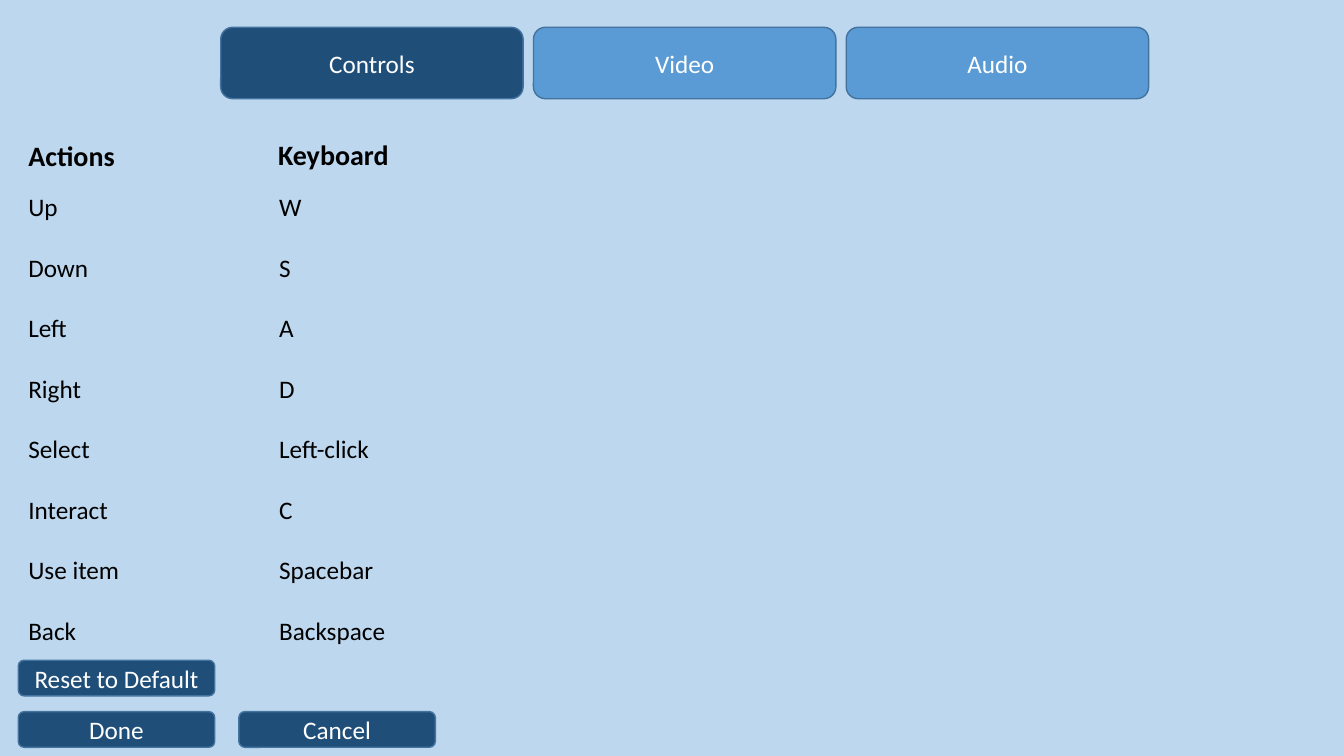
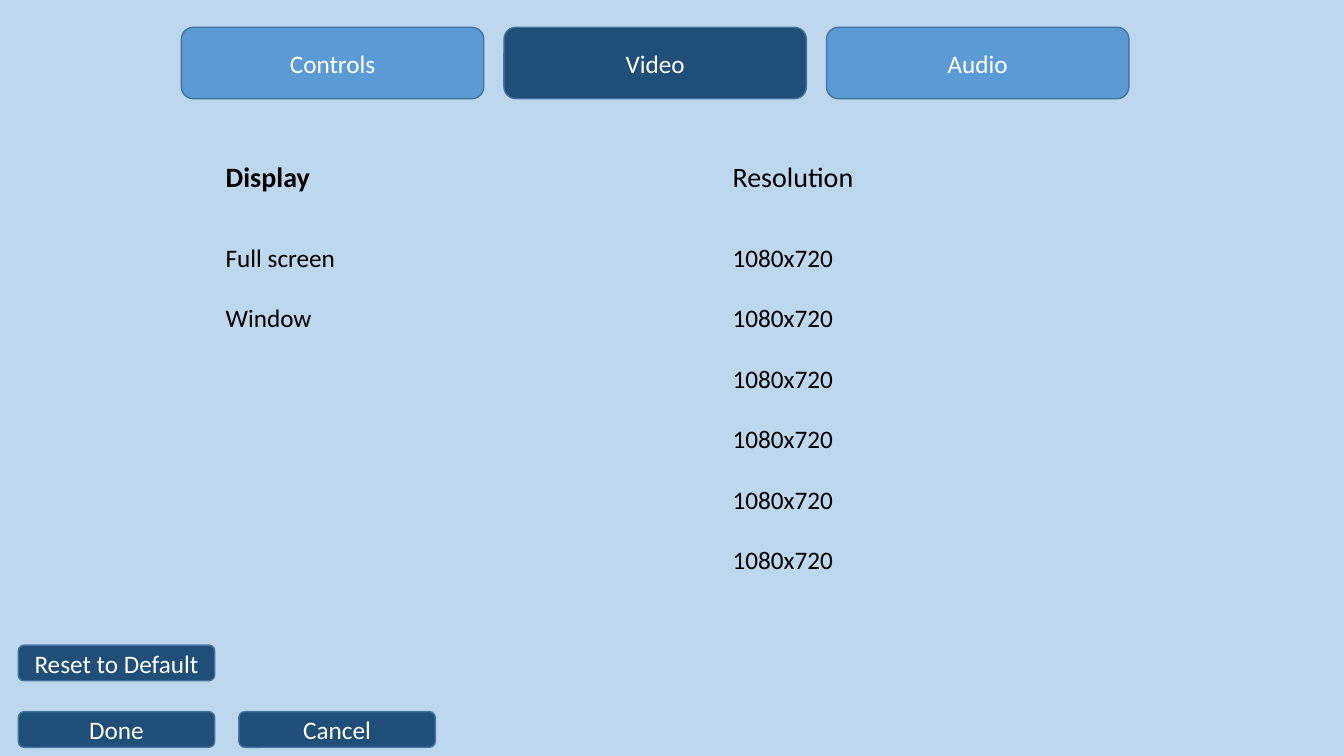
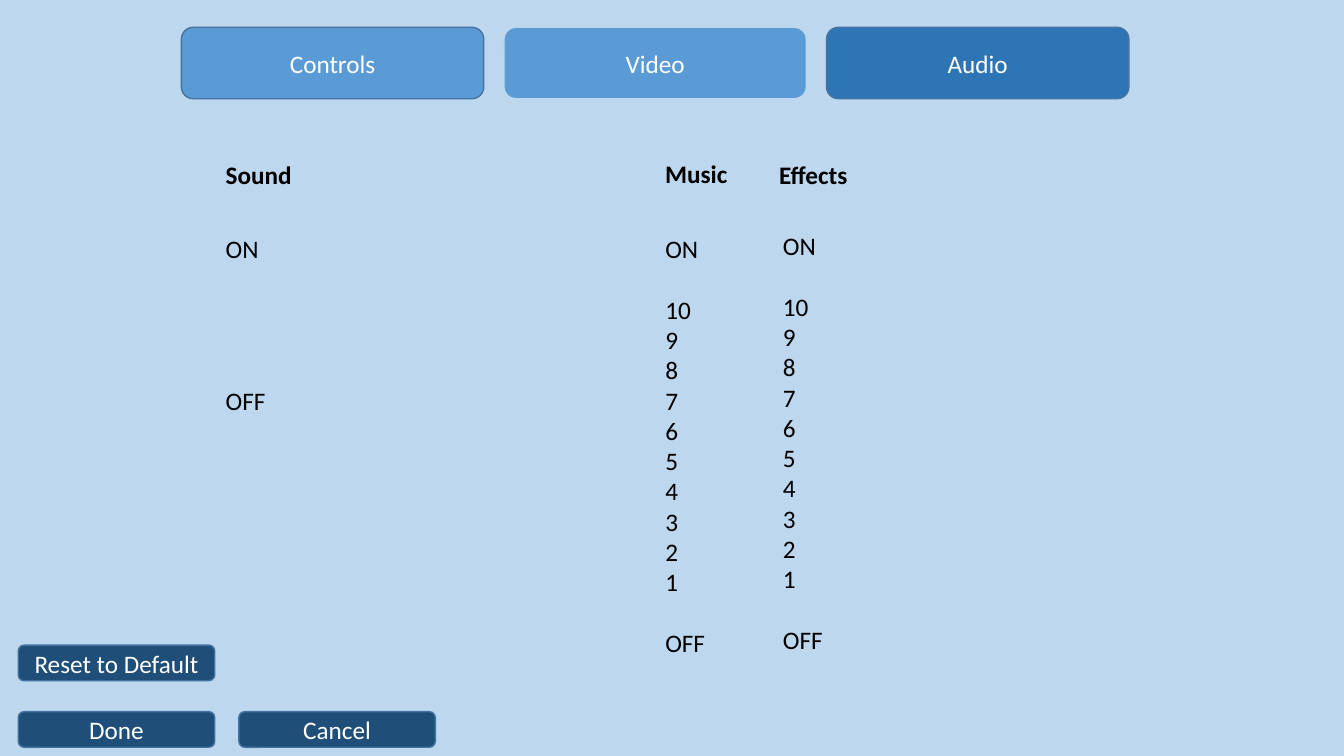
"""Build the three settings screens: controls, video and audio."""
from pptx import Presentation
from pptx.dml.color import RGBColor
from pptx.enum.shapes import MSO_SHAPE
from pptx.enum.text import MSO_ANCHOR, MSO_AUTO_SIZE, PP_ALIGN
from pptx.oxml.ns import qn
from pptx.util import Pt

ROUNDED = MSO_SHAPE.ROUNDED_RECTANGLE
TOP, MIDDLE = MSO_ANCHOR.TOP, MSO_ANCHOR.MIDDLE
LEFT, CENTER = PP_ALIGN.LEFT, PP_ALIGN.CENTER
GROW = MSO_AUTO_SIZE.SHAPE_TO_FIT_TEXT

SKY, NAVY, BLUE, DEEP, EDGE = "BDD7EE", "1F4E79", "5B9BD5", "2E75B6", "43739E"
BLACK, WHITE = "000000", "FFFFFF"
FONT = "Calibri"
LINE = 21.6
TWO_CONTENT = 3

TABS = ["Controls", "Video", "Audio"]
TAB_TOP, TAB_W, TAB_H = 19.5, 216, 51
BUTTONS = ["Done", "Cancel"]
BUTTON_LEFT, BUTTON_TOP, BUTTON_W, BUTTON_H, BUTTON_GAP = 13, 508.3, 140.4, 25.5, 17.2

LEVELS = [["ON"], [str(n) for n in range(10, 0, -1)], ["OFF"]]


def singles(*items):
    """Put each item in a group of its own."""
    return [[item] for item in items]


def heading(text, left, top, width, size=18, bold=True):
    """Describe a column heading."""
    return dict(groups=[[text]], left=left, top=top, width=width, size=size, bold=bold)


def listing(groups, left, top, width, gap=1):
    """Describe a column of grouped lines, with gap lines between groups."""
    return dict(groups=groups, left=left, top=top, width=width, gap=gap)


SCREENS = [
    dict(tab_left=157.7, tab_gap=7.4, reset_top=471.6, fills=[NAVY, BLUE, BLUE],
         edges=[EDGE] * 3,
         headings=[heading("Actions", 13, 95, 78.5, 20),
                   heading("Keyboard", 191.5, 95, 98, 20)],
         lists=[listing(singles("Up", "Down", "Left", "Right", "Select", "Interact",
                                "Use item", "Back"), 13, 133.2, 85),
                listing(singles("W", "S", "A", "D", "Left-click", "C", "Spacebar",
                                "Backspace"), 192.2, 133.2, 108.7)]),
    dict(tab_left=129.6, tab_gap=14.4, reset_top=460.8, fills=[BLUE, NAVY, BLUE],
         edges=[EDGE] * 3,
         headings=[heading("Display", 154, 110.2, 140.4, 20),
                   heading("Resolution", 516.2, 110.2, 119.5, 20, False)],
         lists=[listing(singles("Full screen", "Window"), 154, 169.2, 116.6),
                listing(singles(*["1080x720"] * 6), 516.2, 169.2, 108.7)]),
    dict(tab_left=129.6, tab_gap=14.4, reset_top=460.8, fills=[BLUE, BLUE, DEEP],
         edges=[EDGE, SKY, EDGE],
         headings=[heading("Sound", 154, 110.2, 140.4),
                   heading("Music", 468, 109.4, 119.5),
                   heading("Effects", 549.4, 110.2, 119.5)],
         lists=[listing(singles("ON", "OFF"), 154, 163.4, 116.6, 4),
                listing(LEVELS, 468, 163.4, 116.6),
                listing(LEVELS, 552.2, 161.3, 116.6)]),
]


def rgb(color):
    """Turn a hex string into a colour."""
    return RGBColor.from_string(color)


def assign(target, values):
    """Set each attribute named in values."""
    for name, value in values.items():
        setattr(target, name, value)


def write(p, text, size=18, color=BLACK, bold=False, align=LEFT, before=0):
    """Write one formatted, unbulleted line into a paragraph."""
    assign(p, dict(alignment=align, space_before=Pt(before)))
    pPr = p._p.get_or_add_pPr()
    pPr.set("marL", "0")
    pPr.set("indent", "0")
    pPr.append(pPr.makeelement(qn("a:buNone"), {}))
    r = p.add_run()
    r.text = text
    assign(r.font, dict(name=FONT, size=Pt(size), bold=bold))
    r.font.color.rgb = rgb(color)


def add_button(s, text, left, top, width, height, fill=NAVY, edge=EDGE):
    """Add a rounded button with a centred label."""
    sp = s.shapes.add_shape(ROUNDED, Pt(left), Pt(top), Pt(width), Pt(height))
    sp.shadow.inherit = False
    sp.fill.solid()
    sp.fill.fore_color.rgb = rgb(fill)
    sp.line.color.rgb = rgb(edge)
    sp.line.width = Pt(1)
    sp.text_frame.vertical_anchor = MIDDLE
    write(sp.text_frame.paragraphs[0], text, color=WHITE, align=CENTER)


def add_column(s, holder, groups, left, top, width, gap=0, size=18, bold=False):
    """Fill a placeholder, or a new text box, with grouped lines."""
    lines = [(text, gap * LINE if g and not i else 0)
             for g, group in enumerate(groups) for i, text in enumerate(group)]
    height = len(lines) * size * 1.22 + sum(before for _, before in lines) + 7.2
    box = dict(left=Pt(left), top=Pt(top), width=Pt(width), height=Pt(height))
    sp = holder or s.shapes.add_textbox(*box.values())
    assign(sp, box)
    tf = sp.text_frame
    assign(tf, dict(word_wrap=True, auto_size=GROW, vertical_anchor=TOP,
                    margin_left=Pt(7.2), margin_right=Pt(7.2),
                    margin_top=Pt(3.6), margin_bottom=Pt(3.6)))
    for i, (text, before) in enumerate(lines):
        p = tf.add_paragraph() if i else tf.paragraphs[0]
        write(p, text, size, bold=bold, before=before)


def add_screen(prs, screen):
    """Add one settings screen."""
    s = prs.slides.add_slide(prs.slide_layouts[TWO_CONTENT])
    title, *bodies = s.placeholders
    for i, (text, fill, edge) in enumerate(zip(TABS, screen["fills"], screen["edges"])):
        left = screen["tab_left"] + i * (TAB_W + screen["tab_gap"])
        add_button(s, text, left, TAB_TOP, TAB_W, TAB_H, fill, edge)
    for i, column in enumerate(screen["headings"]):
        add_column(s, None if i else title, **column)
    for i, column in enumerate(screen["lists"]):
        add_column(s, bodies[i] if i < len(bodies) else None, **column)
    add_button(s, "Reset to Default", BUTTON_LEFT, screen["reset_top"], BUTTON_W, BUTTON_H)
    for i, text in enumerate(BUTTONS):
        left = BUTTON_LEFT + i * (BUTTON_W + BUTTON_GAP)
        add_button(s, text, left, BUTTON_TOP, BUTTON_W, BUTTON_H)


def main():
    """Build and save the presentation."""
    prs = Presentation()
    assign(prs, dict(slide_width=Pt(960), slide_height=Pt(540)))
    fill = prs.slide_master.background.fill
    fill.solid()
    fill.fore_color.rgb = rgb(SKY)
    for screen in SCREENS:
        add_screen(prs, screen)
    prs.save("out.pptx")


if __name__ == "__main__":
    main()
